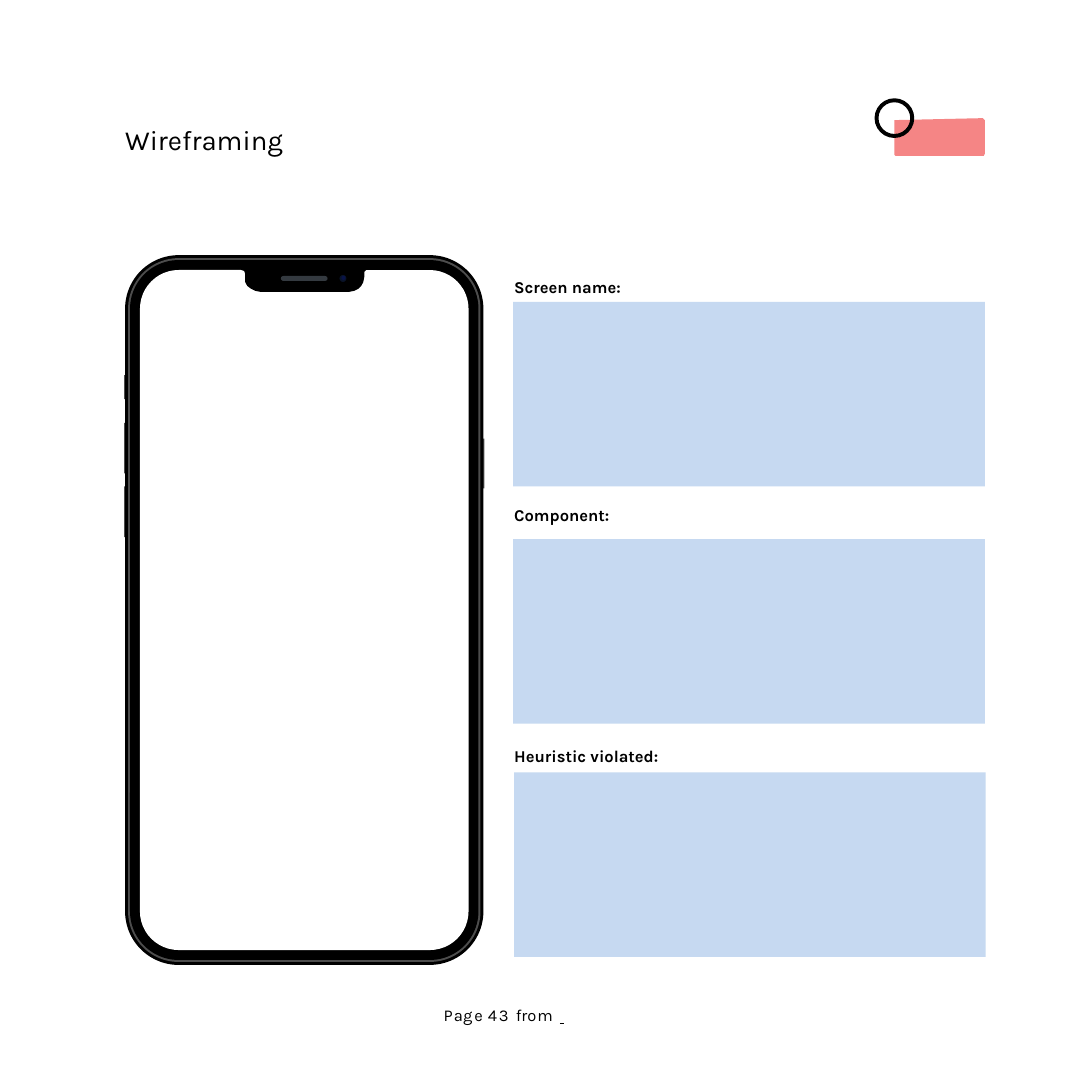
from dataclasses import dataclass

from pptx import Presentation
from pptx.dml.color import RGBColor
from pptx.enum.shapes import MSO_SHAPE as Preset
from pptx.enum.text import MSO_ANCHOR as Anchor, MSO_AUTO_SIZE as AutoSize, PP_ALIGN as Align
from pptx.oxml import parse_xml
from pptx.oxml.ns import nsdecls
from pptx.util import Inches, Pt


@dataclass(frozen=True)
class Theme:
    font: str = "Karla"
    blank_font: str = "Times New Roman"
    black: str = "000000"
    white: str = "FFFFFF"
    metal: str = "4D4D4D"
    speaker: str = "343A40"
    lens: str = "091329"
    lens_core: str = "091348"
    coral: str = "F58585"
    panel: str = "C6D9F1"
    title_size: int = 20
    text_size: int = 12


theme = Theme()
presentation = Presentation()
presentation.slide_width = presentation.slide_height = Inches(11)
slide = presentation.slides.add_slide(presentation.slide_layouts[5])


def paint(shape, color):
    shape.shadow.inherit = False
    shape.fill.solid()
    shape.fill.fore_color.rgb = RGBColor.from_string(color)
    shape.line.fill.background()
    return shape


def write(shape, box, runs, size, bold=False):
    shape.left, shape.top, shape.width, shape.height = map(Inches, box)
    frame = shape.text_frame
    frame.word_wrap = True
    frame.auto_size = AutoSize.SHAPE_TO_FIT_TEXT
    frame.vertical_anchor = Anchor.TOP
    frame.margin_left = frame.margin_right = frame.margin_bottom = 0
    frame.margin_top = Inches(0.02)
    paragraph = frame.paragraphs[0]
    paragraph.alignment = Align.LEFT
    paragraph._p.get_or_add_pPr().set("marL", str(Inches(0.01)))
    for text, spacing in runs:
        run = paragraph.add_run()
        run.text = text
        run.font.name = theme.font
        run.font.size = Pt(size)
        run.font.bold = bold
        run.font.color.rgb = RGBColor.from_string(theme.black)
        run._r.get_or_add_rPr().set("spc", str(spacing))
    return paragraph


write(slide.shapes.title, (1.25, 1.22, 3.16, 0.35), [("Wireframing", 0)], theme.title_size)

buttons = [
    [(left, top), (left + 0.05, top), (left + 0.05, top + height), (left, top + height)]
    for left, top, height in [(1.25, 4.9, 0.51), (1.25, 4.26, 0.51), (1.25, 3.78, 0.24), (4.83, 4.42, 0.5)]
]
notch = [(2.43, 2.72), (2.46, 2.73), (2.47, 2.76), (2.47, 2.79), (2.47, 2.84), (2.49, 2.88),
         (2.53, 2.91), (2.57, 2.93), (2.62, 2.94), (3.52, 2.94), (3.57, 2.93), (3.61, 2.91),
         (3.64, 2.88), (3.66, 2.84), (3.67, 2.79), (3.67, 2.74), (3.69, 2.72), (3.71, 2.72),
         (3.71, 2.71), (2.43, 2.71)]
accent = [(9.01, 1.21), (9.9, 1.19), (9.91, 1.2), (9.92, 1.21), (9.92, 1.55), (9.91, 1.57),
          (9.9, 1.57), (9.02, 1.57), (9.01, 1.56)]

for outlines, color in [(buttons, theme.metal), ([notch], theme.black), ([accent], theme.coral)]:
    contours = [[(Inches(x), Inches(y)) for x, y in outline] for outline in outlines]
    builder = slide.shapes.build_freeform(*contours[0][0])
    builder.add_line_segments(contours[0][1:])
    for contour in contours[1:]:
        builder.move_to(*contour[0])
        builder.add_line_segments(contour[1:])
    paint(builder.convert_to_shape(), color)
    if outlines is not buttons:
        continue
    for inset, layer_color in [(0, theme.black), (0.03, theme.metal), (0.05, theme.black), (0.15, theme.white)]:
        width = 3.61 - 2 * inset
        layer = slide.shapes.add_shape(
            Preset.ROUNDED_RECTANGLE, Inches(1.26 + inset), Inches(2.57 + inset),
            Inches(width), Inches(7.15 - 2 * inset))
        layer.adjustments[0] = (0.54 - inset) / width
        paint(layer, layer_color)

for preset, box, color in [
    (Preset.ROUNDED_RECTANGLE, (2.83, 2.78, 0.47, 0.05), theme.speaker),
    (Preset.OVAL, (3.42, 2.77, 0.07, 0.07), theme.lens),
    (Preset.OVAL, (3.44, 2.78, 0.04, 0.04), theme.lens_core),
    (Preset.DONUT, (8.81, 0.99, 0.4, 0.4), theme.black),
]:
    detail = paint(slide.shapes.add_shape(preset, *map(Inches, box)), color)
    if preset == Preset.ROUNDED_RECTANGLE:
        detail.adjustments[0] = 0.5
    elif preset == Preset.DONUT:
        detail.adjustments[0] = 0.1

for text, label_top, label_width, left, top in [
    ("Screen name:", 2.77, 1.6, 5.17, 3.04),
    ("Component:", 5.07, 1.8, 5.17, 5.43),
    ("Heuristic violated:", 7.49, 2.13, 5.18, 7.78),
]:
    label = slide.shapes.add_textbox(0, 0, 0, 0)
    write(label, (5.17, label_top, label_width, 0.22), [(text, 0)], theme.text_size, bold=True)
    panel = slide.shapes.add_shape(
        Preset.RECTANGLE, Inches(left), Inches(top), Inches(4.75), Inches(1.86))
    paint(panel, theme.panel)

footer = slide.shapes.add_textbox(0, 0, 0, 0)
footer_runs = [("P", 70), ("a", 20), ("g", 140), ("e ", 40), ("43 ", 120),
               ("fr", -10), ("o", 70), ("m ", 110), (" \t", 0)]
paragraph = write(footer, (4.46, 10.13, 1.41, 0.2), footer_runs, theme.text_size)
footer.text_frame.margin_top = 0
paragraph.line_spacing = Pt(14.1)
tabs = parse_xml(f'<a:tabLst {nsdecls("a")}><a:tab pos="{Inches(1.35)}" algn="l"/></a:tabLst>')
paragraph._p.get_or_add_pPr().append(tabs)
blank = paragraph.runs[-1]
blank.font.name = theme.blank_font
blank.font.underline = True

presentation.save("out.pptx")
